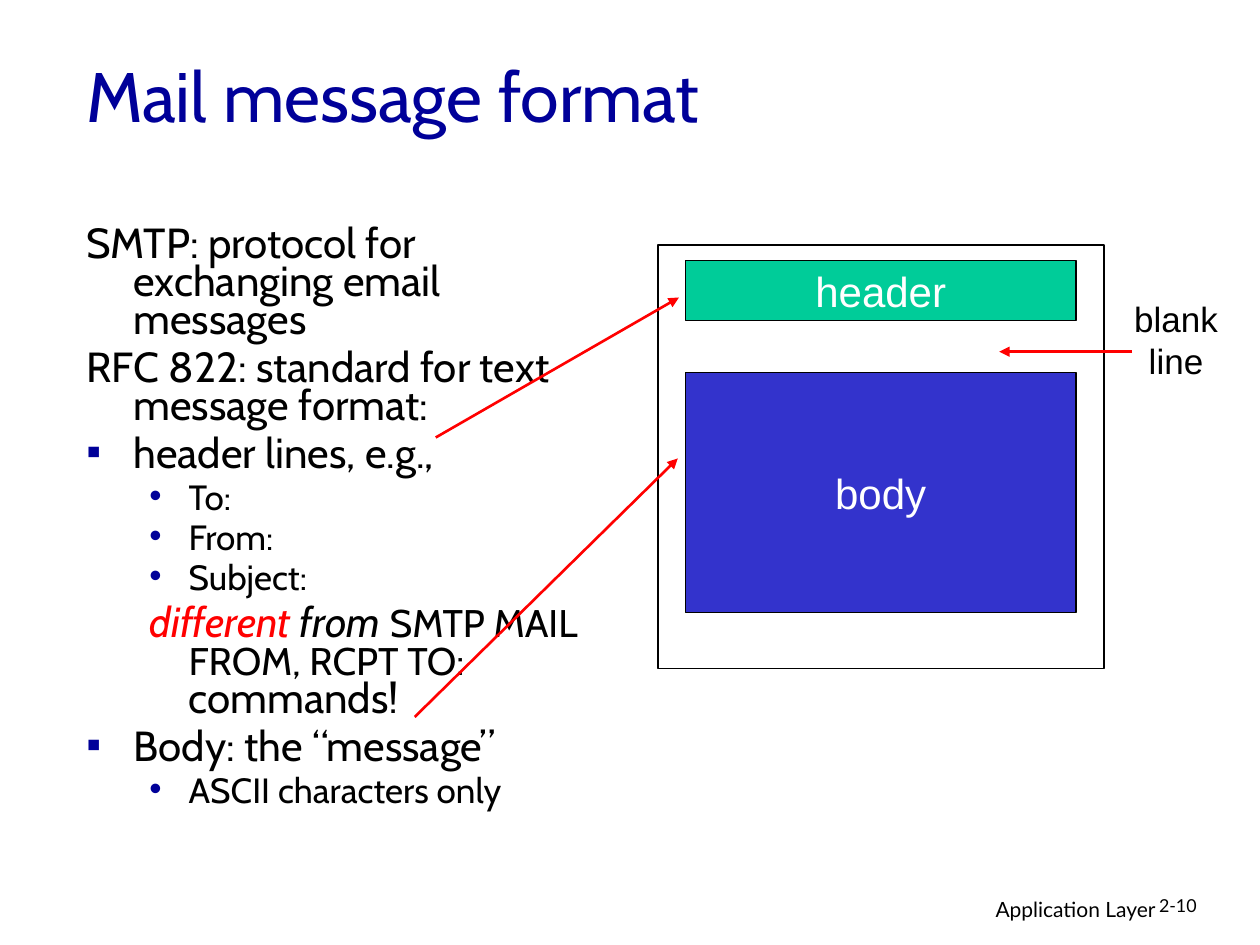
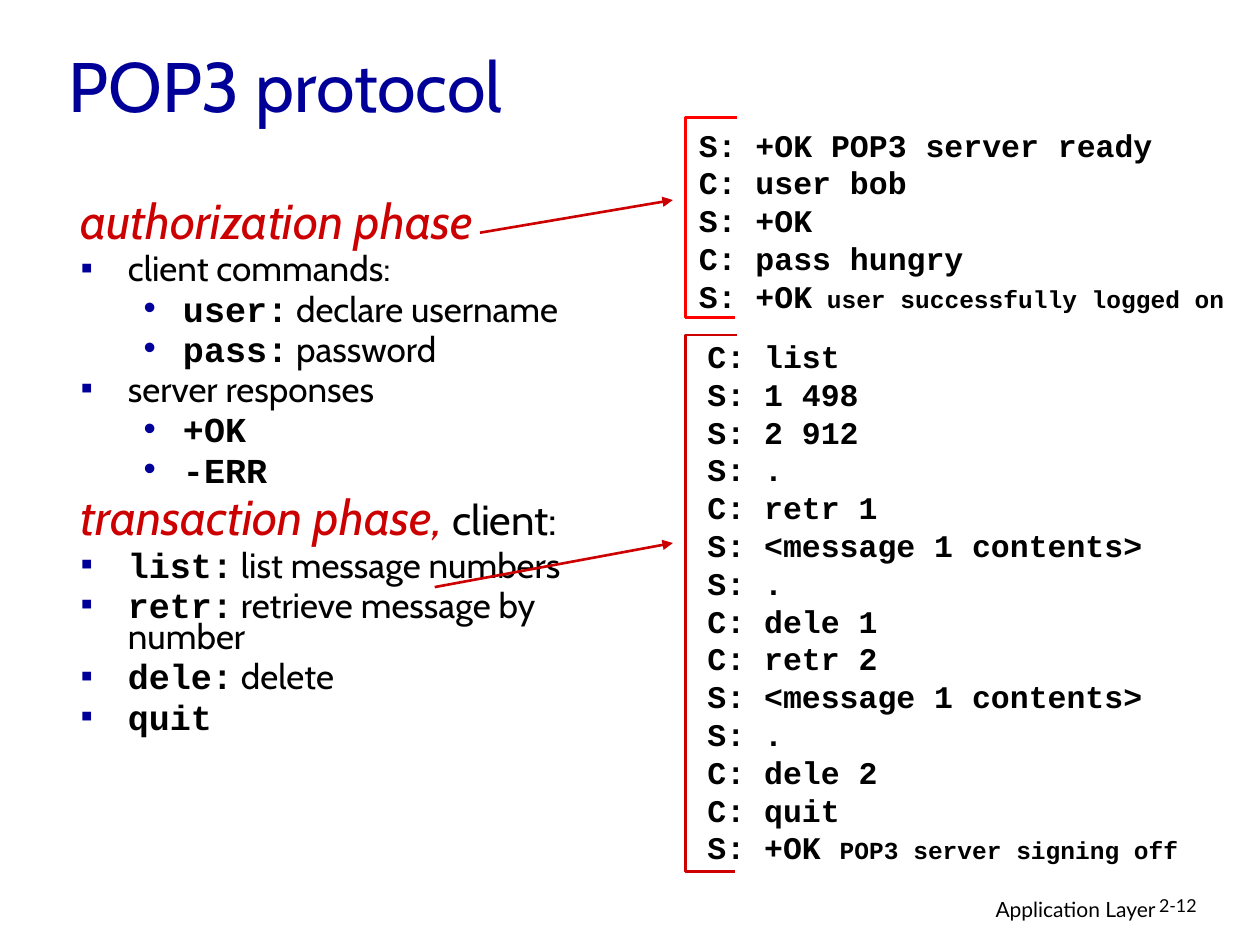
from lxml.etree import SubElement
from pptx import Presentation
from pptx.dml.color import RGBColor
from pptx.enum.shapes import MSO_CONNECTOR, MSO_SHAPE
from pptx.enum.text import MSO_ANCHOR, MSO_AUTO_SIZE, PP_ALIGN
from pptx.oxml.ns import qn
from pptx.util import Pt

NAVY, BLACK, WHITE = "000099", "000000", "FFFFFF"
RED, DARK_RED, GREEN, BLUE = "FF0000", "CC0000", "00CC99", "3333CC"

# Run styles: font, size, colour, bold, italic
RUN_STYLES = {
    "title": ("Cabin", 40, NAVY, False, False),
    "large": ("Cabin", 24, BLACK, False, False),
    "large italic": ("Cabin", 24, BLACK, False, True),
    "large alert": ("Cabin", 24, RED, False, True),
    "medium": ("Cabin", 22, BLACK, False, False),
    "small": ("Cabin", 20, BLACK, False, False),
    "phase": ("Cabin", 28, DARK_RED, False, True),
    "command": ("Courier New", 20, BLACK, True, False),
    "code": ("Courier New", 18, BLACK, True, False),
    "small code": ("Courier New", 14, BLACK, True, False),
    "footer": ("Lato", 12, BLACK, False, False),
    "number": ("Lato", 10.2, BLACK, False, False),
    "box": ("Arial", 24, WHITE, False, False),
    "label": ("Arial", 20, BLACK, False, False),
}

# Paragraph kinds: left margin, first-line indent, bullet, line spacing, alignment
PARAGRAPH_KINDS = {
    "line": (0, 0, None, 1.0, PP_ALIGN.LEFT),
    "center": (0, 0, None, 1.0, PP_ALIGN.CENTER),
    "right": (0, 0, None, 1.0, PP_ALIGN.RIGHT),
    "number": (0, 0, None, 0.9, PP_ALIGN.LEFT),
    "code": (0, 0, None, Pt(21.6), PP_ALIGN.LEFT),
    "hanging": (27, -27, None, 0.75, PP_ALIGN.LEFT),
    "square": (27, -27, "▪", 0.75, PP_ALIGN.LEFT),
    "dot": (58.5, -22.5, "•", 0.75, PP_ALIGN.LEFT),
    "deep hanging": (58.5, -22.5, None, 0.75, PP_ALIGN.LEFT),
}


def color(hex_string):
    return RGBColor.from_string(hex_string)


def write(text_frame, paragraphs):
    """Fill a text frame with (kind, [(text, run style), ...]) paragraphs."""
    for index, (kind, runs) in enumerate(paragraphs):
        paragraph = text_frame.add_paragraph() if index else text_frame.paragraphs[0]
        margin, indent, bullet, spacing, alignment = PARAGRAPH_KINDS[kind]
        paragraph.alignment = alignment
        paragraph.line_spacing = spacing
        for text, style in runs:
            run = paragraph.add_run()
            run.text = text
            font_name, size, hex_string, bold, italic = RUN_STYLES[style]
            run.font.name = font_name
            run.font.size = Pt(size)
            run.font.color.rgb = color(hex_string)
            run.font.bold = bold
            run.font.italic = italic
        if margin:
            paragraph.space_before = Pt(size / 4)
            properties = paragraph._p.get_or_add_pPr()
            properties.set("marL", str(Pt(margin)))
            properties.set("indent", str(Pt(indent)))
            if bullet:
                bullet_color = SubElement(properties, qn("a:buClr"))
                SubElement(bullet_color, qn("a:srgbClr"), val=NAVY)
                SubElement(properties, qn("a:buFont"), typeface="Arial")
                SubElement(properties, qn("a:buChar"), char=bullet)


presentation = Presentation()
presentation.slide_width = Pt(720)
presentation.slide_height = Pt(540)
title_only = presentation.slide_layouts[5]
mail_slide = presentation.slides.add_slide(title_only)
pop3_slide = presentation.slides.add_slide(title_only)

# Titles
for slide, title, box in [
    (mail_slide, "Mail message format", (42, 9, 612, 90)),
    (pop3_slide, "POP3 protocol", (32, 10, 612, 76.5)),
]:
    shape = slide.shapes.title
    shape.left, shape.top, shape.width, shape.height = map(Pt, box)
    shape.text_frame.auto_size = MSO_AUTO_SIZE.NONE
    shape.text_frame.vertical_anchor = MSO_ANCHOR.MIDDLE
    write(shape.text_frame, [("line", [(title, "title")])])

# Body text
mail_body = [
    ("hanging", [("SMTP: protocol for exchanging email messages", "large")]),
    ("hanging", [("RFC 822: standard for text message format:", "large")]),
    ("square", [("header lines, e.g.,", "large")]),
    ("dot", [("To:", "small")]),
    ("dot", [("From:", "small")]),
    ("dot", [("Subject:", "small")]),
    ("deep hanging", [
        ("different ", "large alert"),
        ("from ", "large italic"),
        ("SMTP MAIL FROM, RCPT TO:", "medium"),
        (" commands!", "large"),
    ]),
    ("square", [("Body: the “message”", "large")]),
    ("dot", [("ASCII characters only", "small")]),
]
pop3_body = [
    ("hanging", [("authorization phase", "phase")]),
    ("square", [("client commands:", "small")]),
    ("dot", [("user:", "command"), (" declare username", "small")]),
    ("dot", [("pass:", "command"), (" password", "small")]),
    ("square", [("server responses", "small")]),
    ("dot", [("+OK", "command")]),
    ("dot", [("-ERR", "command")]),
    ("hanging", [("transaction phase,", "phase"), (" client:", "large")]),
    ("square", [("list:", "command"), (" list message numbers", "small")]),
    ("square", [("retr:", "command"), (" retrieve message by number", "small")]),
    ("square", [("dele:", "command"), (" delete", "small")]),
    ("square", [("quit", "command")]),
]

# POP3 dialogues; the last line of each ends with a smaller remark
login_lines = ["S: +OK POP3 server ready", "C: user bob", "S: +OK", "C: pass hungry"]
login = [("code", [(line, "code")]) for line in login_lines]
login.append(("code", [("S: +OK", "code"), (" user successfully logged on", "small code")]))

transaction_lines = [
    "C: list", "S: 1 498", "S: 2 912", "S: .",
    "C: retr 1", "S: <message 1 contents>", "S: .", "C: dele 1",
    "C: retr 2", "S: <message 1 contents>", "S: .", "C: dele 2", "C: quit",
]
transaction = [("code", [(line, "code")]) for line in transaction_lines]
transaction.append(("code", [("S: +OK ", "code"), ("POP3 server signing off", "small code")]))

# Text boxes, with the footer on both slides
blank_line = [("center", [(word, "label")]) for word in ("blank", "line")]
text_boxes = [
    (mail_slide, (42.2, 127, 309, 366), mail_body),
    (mail_slide, (634, 166.5, 76, 55.5), blank_line),
    (pop3_slide, (39, 113, 312.5, 366), pop3_body),
    (pop3_slide, (392.2, 68.2, 320, 115), login),
    (pop3_slide, (397.2, 189, 310, 310), transaction),
]
for slide, number in [(mail_slide, "2-10"), (pop3_slide, "2-12")]:
    text_boxes.append((slide, (439, 509, 228.5, 22), [("right", [("Application Layer", "footer")])]))
    text_boxes.append((slide, (655.2, 509, 53.5, 21.5), [("number", [(number, "number")])]))

for slide, box, paragraphs in text_boxes:
    text_box = slide.shapes.add_textbox(*map(Pt, box))
    text_box.text_frame.word_wrap = True
    write(text_box.text_frame, paragraphs)

# Message diagram: outer frame with header and body
for label, fill, line_width, box in [
    ("header", GREEN, 0.75, (391.7, 149, 223.2, 34)),
    ("body", BLUE, 0.75, (391.7, 213, 223.2, 137)),
    (None, None, 1, (376, 140, 255, 242)),
]:
    rectangle = mail_slide.shapes.add_shape(MSO_SHAPE.RECTANGLE, *map(Pt, box))
    rectangle.shadow.inherit = False
    rectangle.line.color.rgb = color(BLACK)
    rectangle.line.width = Pt(line_width)
    if fill:
        rectangle.fill.solid()
        rectangle.fill.fore_color.rgb = color(fill)
        rectangle.text_frame.vertical_anchor = MSO_ANCHOR.MIDDLE
        write(rectangle.text_frame, [("center", [(label, "box")])])
    else:
        rectangle.fill.background()

# Brackets beside the dialogues
for top, bottom, hex_string in [(67, 181.5, RED), (191.5, 498, DARK_RED)]:
    builder = pop3_slide.shapes.build_freeform(Pt(421), Pt(top))
    builder.add_line_segments(
        [(Pt(391.7), Pt(top)), (Pt(391.7), Pt(bottom)), (Pt(420), Pt(bottom))], close=False
    )
    bracket = builder.convert_to_shape()
    bracket.shadow.inherit = False
    bracket.fill.background()
    bracket.line.color.rgb = color(hex_string)
    bracket.line.width = Pt(1.5)

# Arrows
for slide, hex_string, ends in [
    (mail_slide, RED, (249, 250, 388, 170)),
    (mail_slide, RED, (237, 409.7, 387.3, 262)),
    (mail_slide, RED, (647, 201, 571, 201)),
    (pop3_slide, DARK_RED, (274.3, 133, 384.5, 114.3)),
    (pop3_slide, DARK_RED, (248.4, 335.5, 384.5, 310.3)),
]:
    arrow = slide.shapes.add_connector(MSO_CONNECTOR.STRAIGHT, *map(Pt, ends))
    arrow.line.color.rgb = color(hex_string)
    arrow.line.width = Pt(1.5)
    SubElement(arrow.line._get_or_add_ln(), qn("a:tailEnd"), type="triangle")
    SubElement(arrow._element.spPr, qn("a:effectLst"))

presentation.save("out.pptx")
